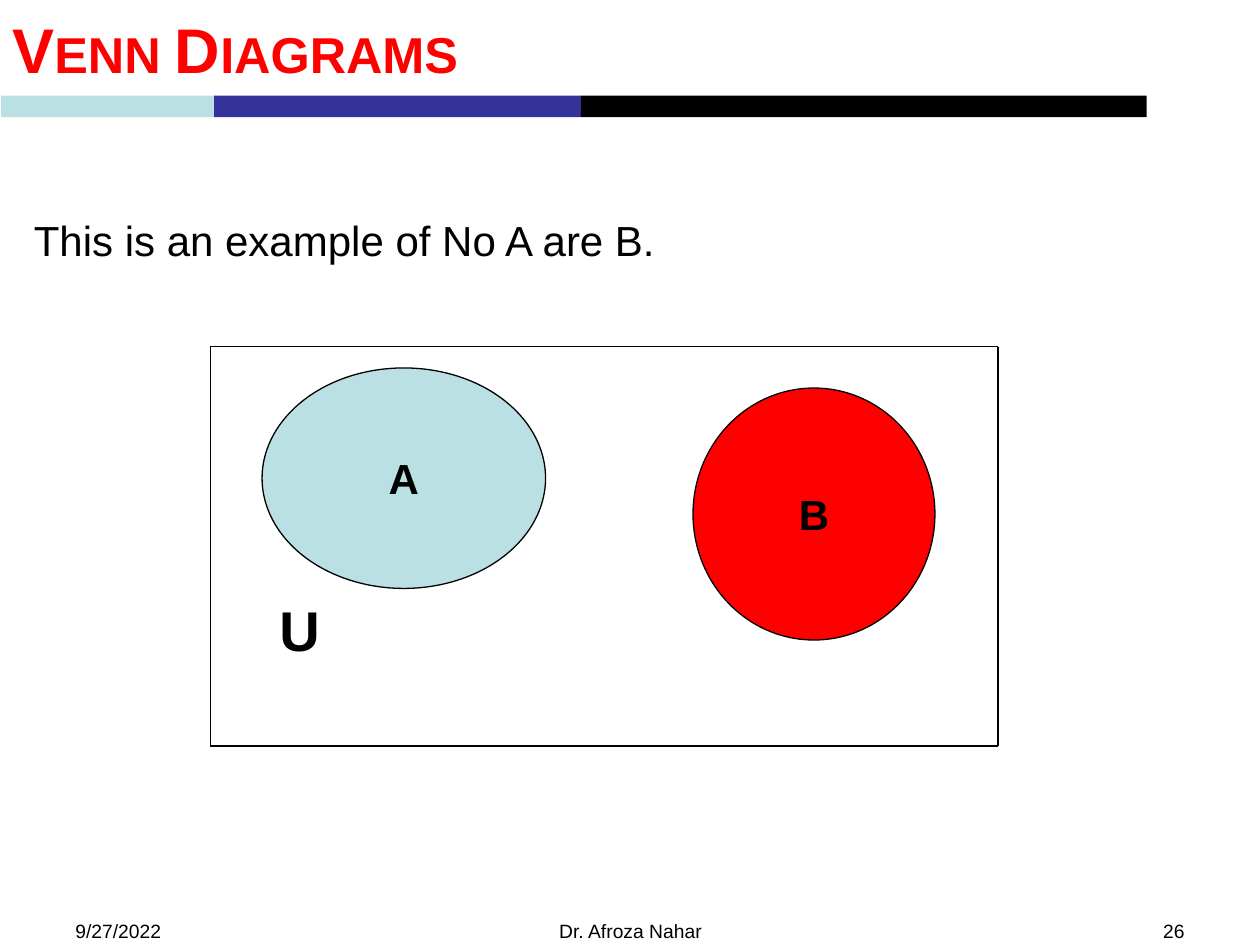
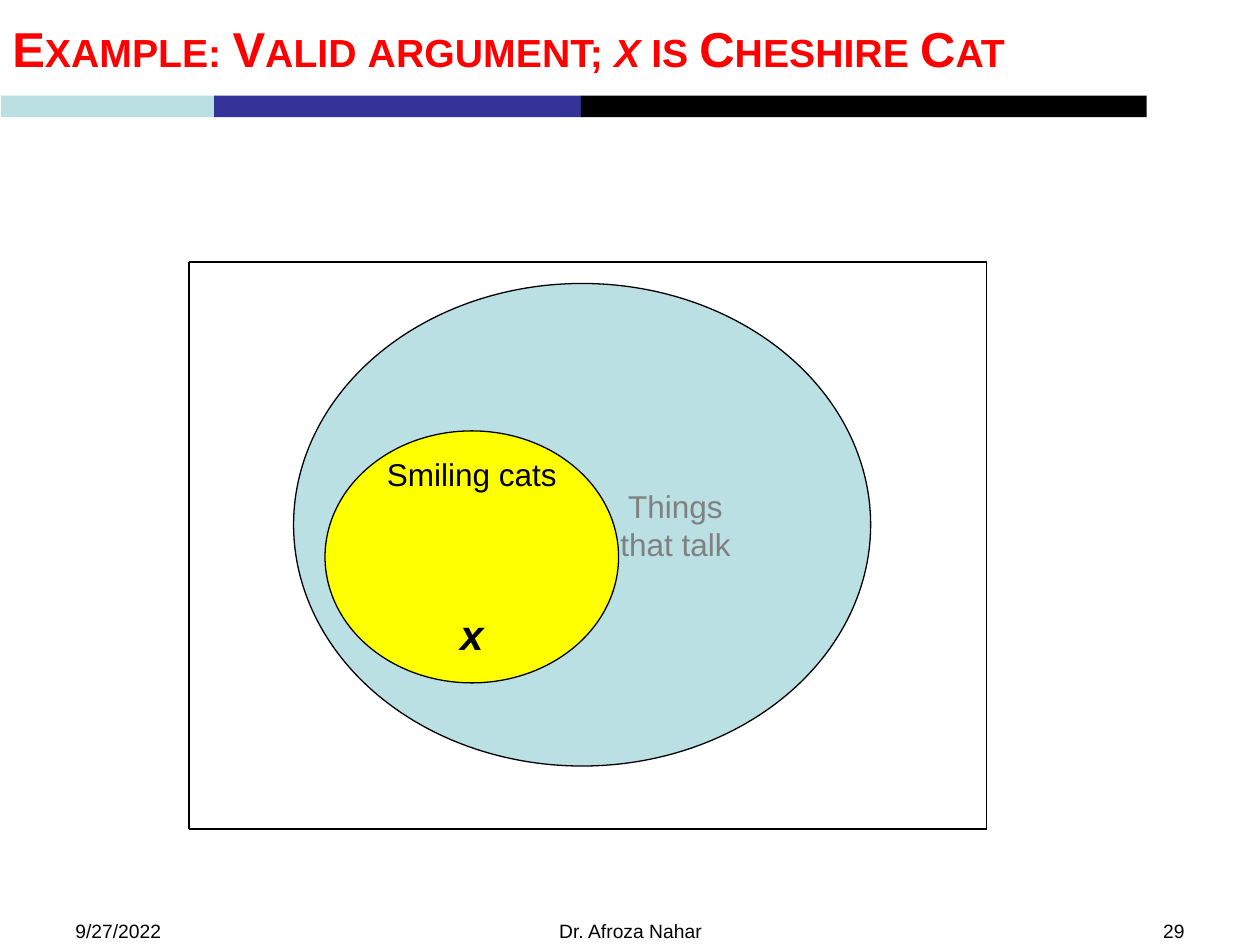
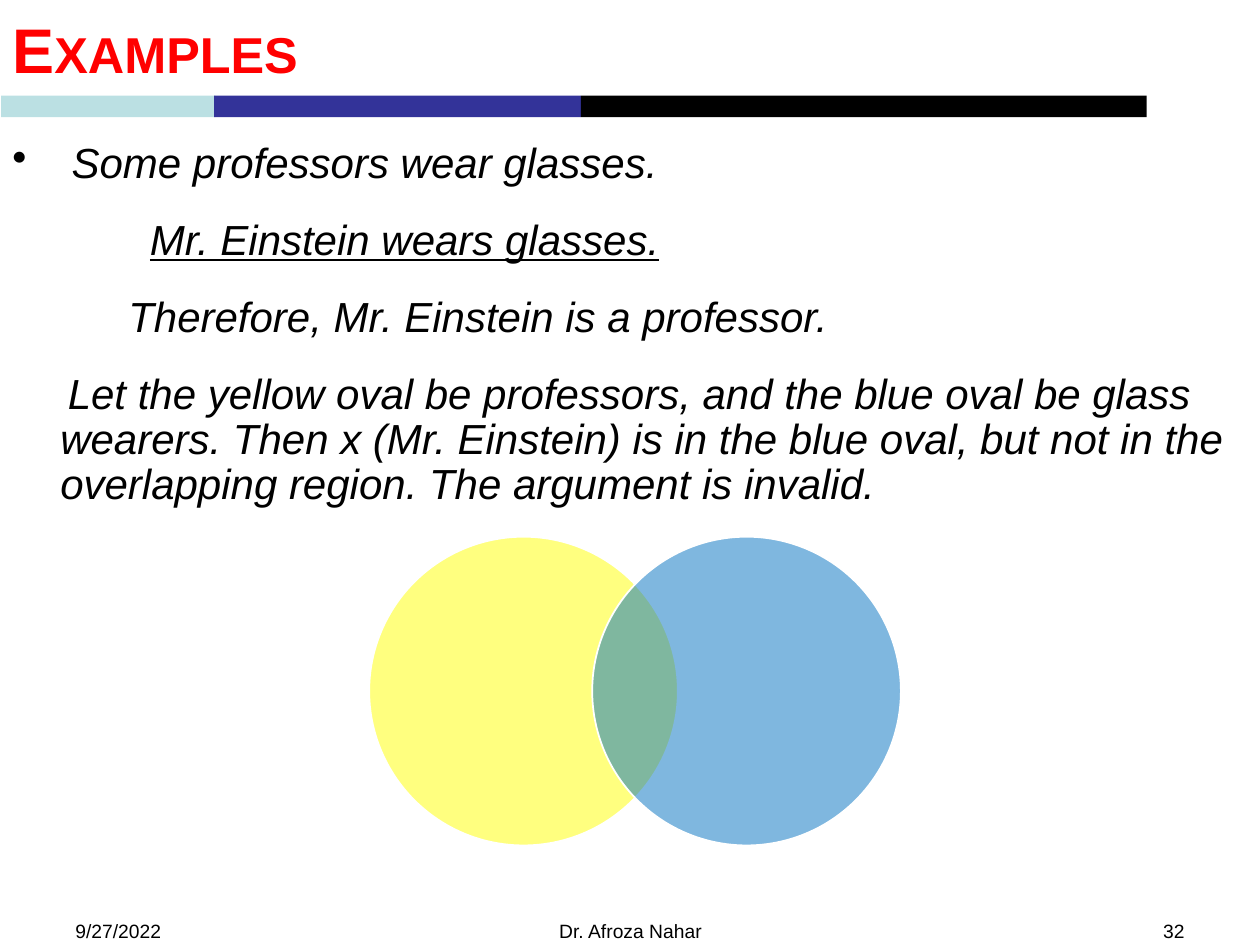
from lxml import etree
from pptx import Presentation
from pptx.dml.color import RGBColor
from pptx.enum.shapes import MSO_CONNECTOR, MSO_SHAPE
from pptx.enum.text import MSO_ANCHOR as ANCHOR, PP_ALIGN as ALIGN
from pptx.oxml.ns import qn
from pptx.util import Inches, Pt

C = {
    "black": "000000", "white": "FFFFFF", "red": "FF0000", "pale": "BBE0E3",
    "indigo": "333399", "yellow": "FFFF00", "blue": "0070C0", "gray": "808080",
}
FONT = "Arial"


def add_text(s, box, text, size, color="black", bold=False, align=ALIGN.LEFT, anchor=ANCHOR.TOP):
    tf = s.shapes.add_textbox(*map(Inches, box)).text_frame
    tf.word_wrap = True
    tf.vertical_anchor = anchor
    p = tf.paragraphs[0]
    p.text = text
    p.alignment = align
    for r in p.runs:
        r.font.name, r.font.size, r.font.bold = FONT, Pt(size), bold
        r.font.color.rgb = RGBColor.from_string(C[color])
    return tf


def add_shape(s, kind, box, fill, line=None, width=0.75, lines=(), color="black"):
    sp = s.shapes.add_shape(kind, *map(Inches, box))
    sp.shadow.inherit = False
    sp.fill.solid()
    sp.fill.fore_color.rgb = RGBColor.from_string(C[fill])
    if line:
        sp.line.color.rgb = RGBColor.from_string(C[line])
        sp.line.width = Pt(width)
    else:
        sp.line.fill.background()
    tf = sp.text_frame
    tf.vertical_anchor = ANCHOR.MIDDLE
    for i, (text, size, bold, italic) in enumerate(lines):
        p = tf.paragraphs[0] if i == 0 else tf.add_paragraph()
        p.text = text
        p.alignment = ALIGN.CENTER
        f = p.runs[0].font
        f.name, f.size, f.bold, f.italic = FONT, Pt(size), bold, italic
        f.color.rgb = RGBColor.from_string(C[color])
    return sp


prs = Presentation()
prs.slide_width, prs.slide_height = Inches(10), Inches(7.5)

pages = [
    ("26", 36, ["Venn Diagrams"]),
    ("29", 28, ["Example: Valid argument; ", "x", " is Cheshire Cat"]),
    ("32", 36, ["Examples"]),
]
bands = [(0.01, 1.7, "pale"), (1.7, 2.91, "indigo"), (4.61, 4.49, "black")]

for number, size, parts in pages:
    s = prs.slides.add_slide(prs.slide_layouts[6])
    for x, w, fill in bands:
        add_shape(s, MSO_SHAPE.RECTANGLE, (x, 0.76, w, 0.17), fill)
    tf = add_text(s, (0, 0, 9.1, 0.76), "", size, anchor=ANCHOR.MIDDLE)
    for part in parts:
        r = tf.paragraphs[0].add_run()
        r.text = part
        r.font.name, r.font.size, r.font.bold = FONT, Pt(size), True
        r.font.italic = part == "x"
        r.font.color.rgb = RGBColor.from_string(C["red"])
        r._r.get_or_add_rPr().set("cap", "small")
    for x, w, text, align in [
        (0.5, 2.33, "9/27/2022", ALIGN.LEFT),
        (3.42, 3.17, "Dr. Afroza Nahar", ALIGN.CENTER),
        (7.17, 2.33, number, ALIGN.RIGHT),
    ]:
        add_text(s, (x, 7.25, w, 0.4), text, 11, align=align)

venn, cats, examples = prs.slides

add_text(venn, (0.17, 1.65, 9.58, 0.6), "This is an example of No A are B.", 24)
add_text(venn, (2.12, 4.68, 0.6, 0.6), "U", 32, bold=True)
for box, fill, label in [
    ((2.08, 2.92, 2.25, 1.75), "pale", "A"),
    ((5.5, 3.08, 1.92, 2), "red", "B"),
]:
    add_shape(venn, MSO_SHAPE.OVAL, box, fill, "black", lines=[(label, 24, True, False)])

sp = add_shape(cats, MSO_SHAPE.OVAL, (2.33, 2.25, 4.58, 3.83), "pale", "black", color="gray",
               lines=[("Things", 18, False, False), ("that talk", 18, False, False)])
sp.text_frame.margin_left = Inches(1.58)
sp = add_shape(cats, MSO_SHAPE.OVAL, (2.58, 3.42, 2.33, 2), "yellow", "black",
               lines=[("Smiling cats", 18, False, False), ("x", 24, True, True)])
sp.text_frame.word_wrap = False
sp.text_frame.paragraphs[1].space_before = Pt(66)

for s, left, top, right, bottom in [(venn, 1.67, 2.75, 7.92, 5.92), (cats, 1.5, 2.08, 7.83, 6.58)]:
    corners = [(left, top), (right, top), (right, bottom), (left, bottom)]
    for start, end in zip(corners, corners[1:] + corners[:1]):
        ln = s.shapes.add_connector(MSO_CONNECTOR.STRAIGHT, *map(Inches, start + end))
        ln.line.color.rgb = RGBColor.from_string(C["black"])
        ln.line.width = Pt(0.75)
        etree.SubElement(ln._element.spPr, qn("a:effectLst"))

argument = [
    ("Some professors wear glasses.", 0.47, -0.47),
    ("Mr. Einstein wears glasses.", 1.09, 0),
    ("Therefore, Mr. Einstein is a professor.", 0.92, 0),
    ("Let the yellow oval be professors, and the blue oval be glass wearers. "
     "Then x (Mr. Einstein) is in the blue oval, but not in the overlapping region. "
     "The argument is invalid.", 0.38, 0.06),
]
tf = add_text(examples, (0, 1.08, 9.99, 5.96), "", 24)
for i, (text, margin, indent) in enumerate(argument):
    p = tf.paragraphs[0] if i == 0 else tf.add_paragraph()
    p.text = text
    p.line_spacing = 0.9
    p.space_before = Pt(12 if i else 0)
    p.space_after = Pt(6)
    pPr = p._p.get_or_add_pPr()
    pPr.set("marL", str(Inches(margin)))
    pPr.set("indent", str(Inches(indent)))
    if i == 0:
        etree.SubElement(pPr, qn("a:buChar")).set("char", "•")
    f = p.runs[0].font
    f.name, f.size, f.italic, f.underline = FONT, Pt(24), True, i == 1
    f.color.rgb = RGBColor.from_string(C["black"])

for x, fill in [(2.93, "yellow"), (4.7, "blue")]:
    sp = add_shape(examples, MSO_SHAPE.OVAL, (x, 4.26, 2.45, 2.45), fill, "white", 1)
    color = sp._element.spPr.find(qn("a:solidFill"))[0]
    etree.SubElement(color, qn("a:alpha")).set("val", "50000")

prs.save("out.pptx")
